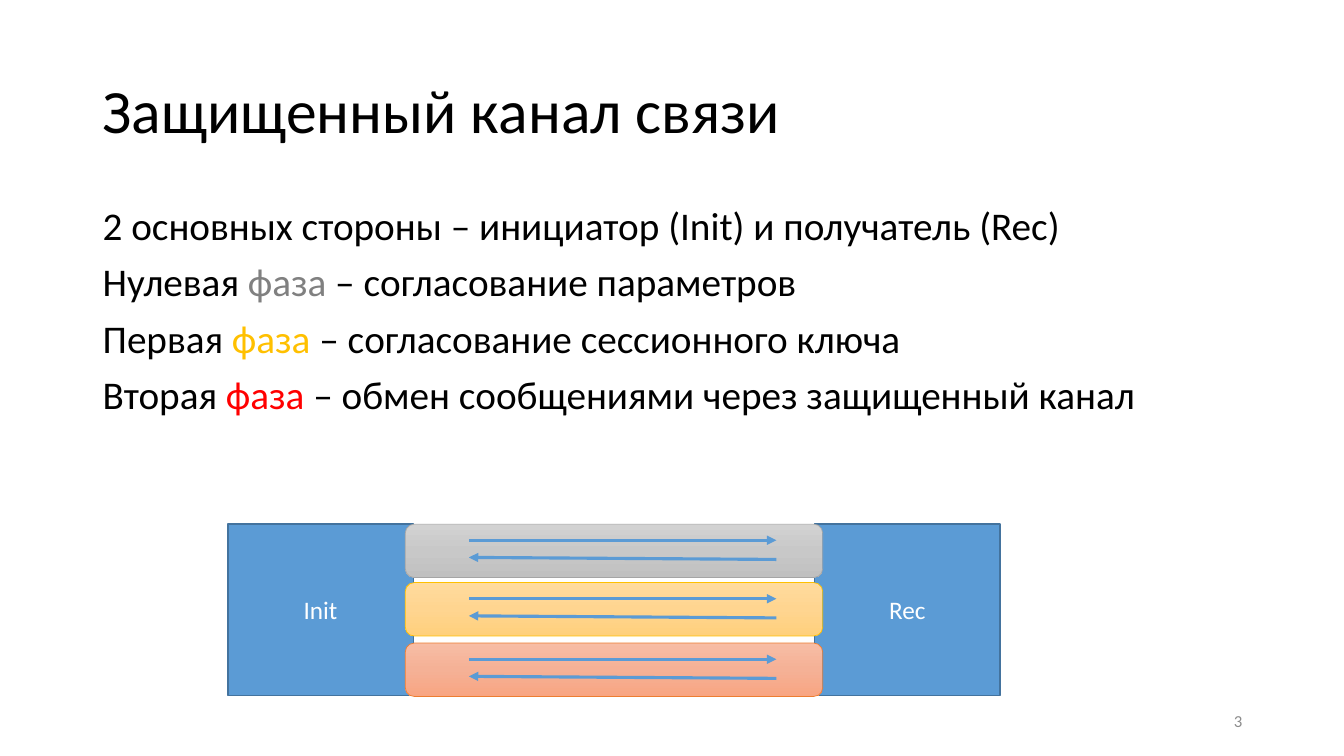
from copy import deepcopy
from dataclasses import dataclass

from lxml import etree
from pptx import Presentation
from pptx.dml.color import RGBColor
from pptx.enum.shapes import MSO_CONNECTOR, MSO_SHAPE
from pptx.enum.text import MSO_ANCHOR, PP_ALIGN
from pptx.oxml.ns import qn
from pptx.util import Inches, Pt

RECTANGLE = MSO_SHAPE.RECTANGLE
ROUNDED = MSO_SHAPE.ROUNDED_RECTANGLE
STRAIGHT = MSO_CONNECTOR.STRAIGHT
TOP, MIDDLE = MSO_ANCHOR.TOP, MSO_ANCHOR.MIDDLE
LEFT, CENTER, RIGHT = PP_ALIGN.LEFT, PP_ALIGN.CENTER, PP_ALIGN.RIGHT

BLACK, WHITE, BLUE = "000000", "FFFFFF", "5B9BD5"
ARROW_LEFT, ARROW_RIGHT = 4.65, 7.7


@dataclass
class Run:
    text: str
    color: str = BLACK


@dataclass
class Box:
    left: float
    top: float
    width: float
    height: float

    def lengths(self) -> list:
        return [Inches(v) for v in (self.left, self.top, self.width, self.height)]


@dataclass
class TextStyle:
    size: float
    anchor: MSO_ANCHOR = MIDDLE
    align: PP_ALIGN = LEFT
    line_spacing: float = 1.0
    space_before: float = 0


@dataclass
class Party:
    label: str
    left: float


@dataclass
class Phase:
    top: float
    gradient: tuple
    outline: str


PARTIES = [Party("Init", 2.26), Party("Rec", 8.08)]
PHASES = [
    Phase(5.2, ("D2D2D2", "C8C8C8", "C0C0C0"), "A5A5A5"),
    Phase(5.78, ("FFDB9E", "FFD590", "FFD07C"), "FFC000"),
    Phase(6.38, ("F7BDA5", "F5B196", "F8A582"), "ED7D31"),
]
STATEMENTS = [
    [Run("2 основных стороны – инициатор (Init) и получатель (Rec)")],
    [Run("Нулевая "), Run("фаза", "808080"), Run(" – согласование параметров")],
    [Run("Первая "), Run("фаза", "FFC000"), Run(" – согласование сессионного ключа")],
    [Run("Вторая "), Run("фаза", "FF0000"),
     Run(" – обмен сообщениями через защищенный канал")],
]


def rgb(color: str) -> RGBColor:
    return RGBColor.from_string(color)


def apply(target, values: dict) -> None:
    for name, value in values.items():
        setattr(target, name, value)


def write(frame, lines: list, style: TextStyle) -> None:
    apply(frame, {"word_wrap": True, "vertical_anchor": style.anchor})
    for index, line in enumerate(lines):
        paragraph = frame.add_paragraph() if index else frame.paragraphs[0]
        apply(paragraph, {
            "alignment": style.align,
            "line_spacing": style.line_spacing,
            "space_before": Pt(style.space_before),
        })
        for part in line:
            run = paragraph.add_run()
            run.text = part.text
            apply(run.font, {"name": "Calibri", "size": Pt(style.size)})
            run.font.color.rgb = rgb(part.color)


def add_text(slide, box: Box, lines: list, style: TextStyle) -> None:
    write(slide.shapes.add_textbox(*box.lengths()).text_frame, lines, style)


def add_block(slide, preset: MSO_SHAPE, box: Box, outline: str, weight: float):
    block = slide.shapes.add_shape(preset, *box.lengths())
    block.shadow.inherit = False
    block.line.color.rgb = rgb(outline)
    block.line.width = Pt(weight)
    return block


def add_party(slide, party: Party) -> None:
    block = add_block(slide, RECTANGLE, Box(party.left, 5.2, 1.84, 1.7), "43739E", 1)
    block.fill.solid()
    block.fill.fore_color.rgb = rgb(BLUE)
    write(block.text_frame, [[Run(party.label, WHITE)]], TextStyle(18, align=CENTER))


def add_arrow(slide, start: tuple, end: tuple) -> None:
    arrow = slide.shapes.add_connector(STRAIGHT, *map(Inches, start + end))
    arrow.line.color.rgb = rgb(BLUE)
    arrow.line.width = Pt(2.25)
    properties = arrow._element.spPr
    etree.SubElement(properties.find(qn("a:ln")), qn("a:tailEnd"), type="triangle")
    etree.SubElement(properties, qn("a:effectLst"))


def add_phase(slide, phase: Phase) -> None:
    band = add_block(slide, ROUNDED, Box(4.02, phase.top, 4.14, 0.53), phase.outline, 0.5)
    band.fill.gradient()
    band.fill.gradient_angle = 270
    stops = band._element.spPr.find(qn("a:gradFill")).find(qn("a:gsLst"))
    stops.insert(1, deepcopy(stops[0]))
    for index, color in enumerate(phase.gradient):
        stops[index].set("pos", str(index * 50000))
        band.fill.gradient_stops[index].color.rgb = rgb(color)
    request = phase.top + 0.16
    add_arrow(slide, (ARROW_LEFT, request), (ARROW_RIGHT, request))
    add_arrow(slide, (ARROW_RIGHT, phase.top + 0.35), (ARROW_LEFT, phase.top + 0.33))


def main() -> None:
    deck = Presentation()
    apply(deck, {"slide_width": Inches(13.33), "slide_height": Inches(7.5)})
    slide = deck.slides.add_slide(deck.slide_layouts[6])
    add_text(slide, Box(0.92, 0.4, 11.5, 1.45), [[Run("Защищенный канал связи")]],
             TextStyle(44, line_spacing=0.9))
    add_text(slide, Box(0.92, 2, 11.5, 4.76), STATEMENTS,
             TextStyle(28, TOP, line_spacing=0.9, space_before=10))
    for party in PARTIES:
        add_party(slide, party)
    for phase in PHASES:
        add_phase(slide, phase)
    add_text(slide, Box(9.42, 6.95, 3, 0.4), [[Run("3", "8C8C8C")]],
             TextStyle(12, align=RIGHT))
    deck.save("out.pptx")


if __name__ == "__main__":
    main()
